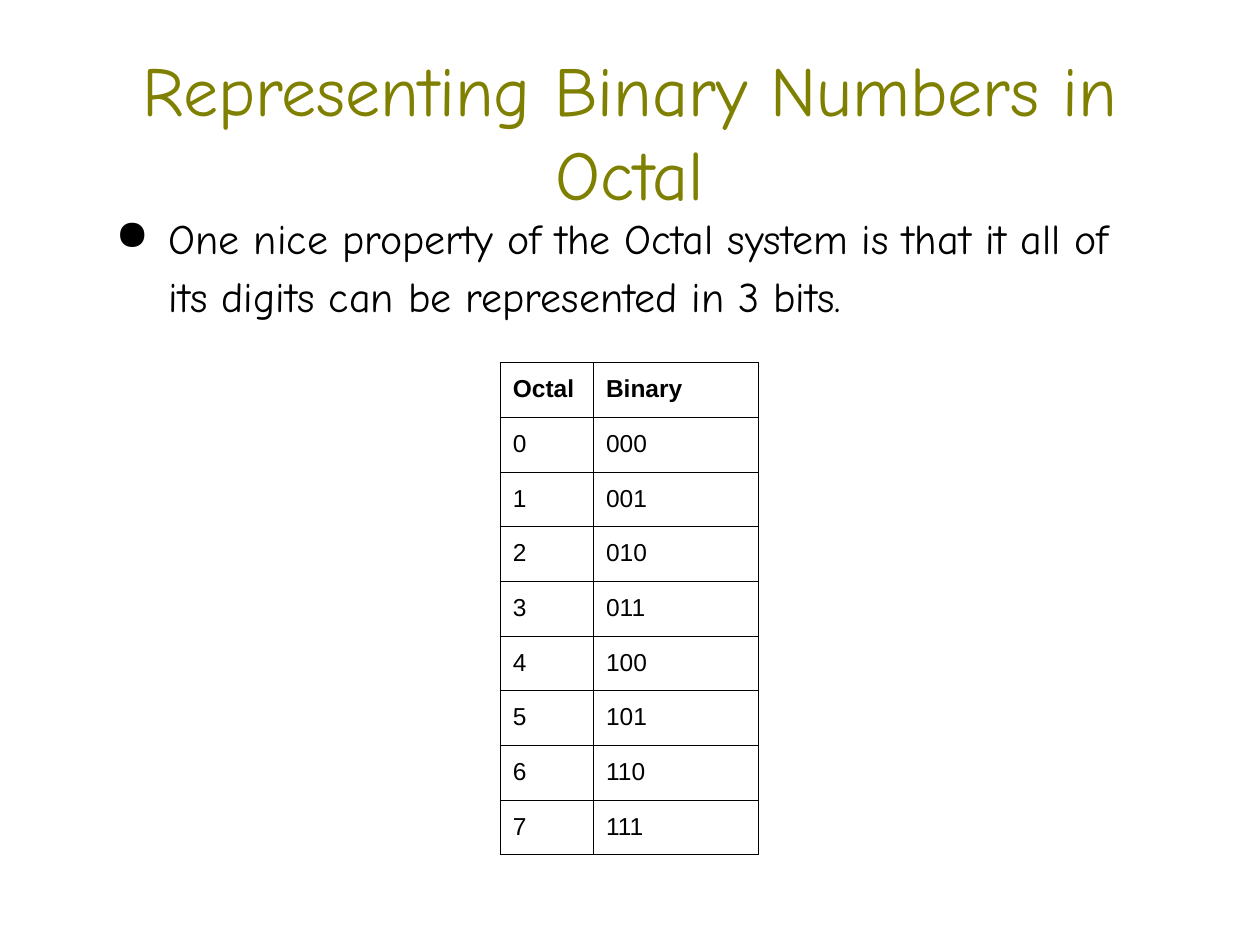
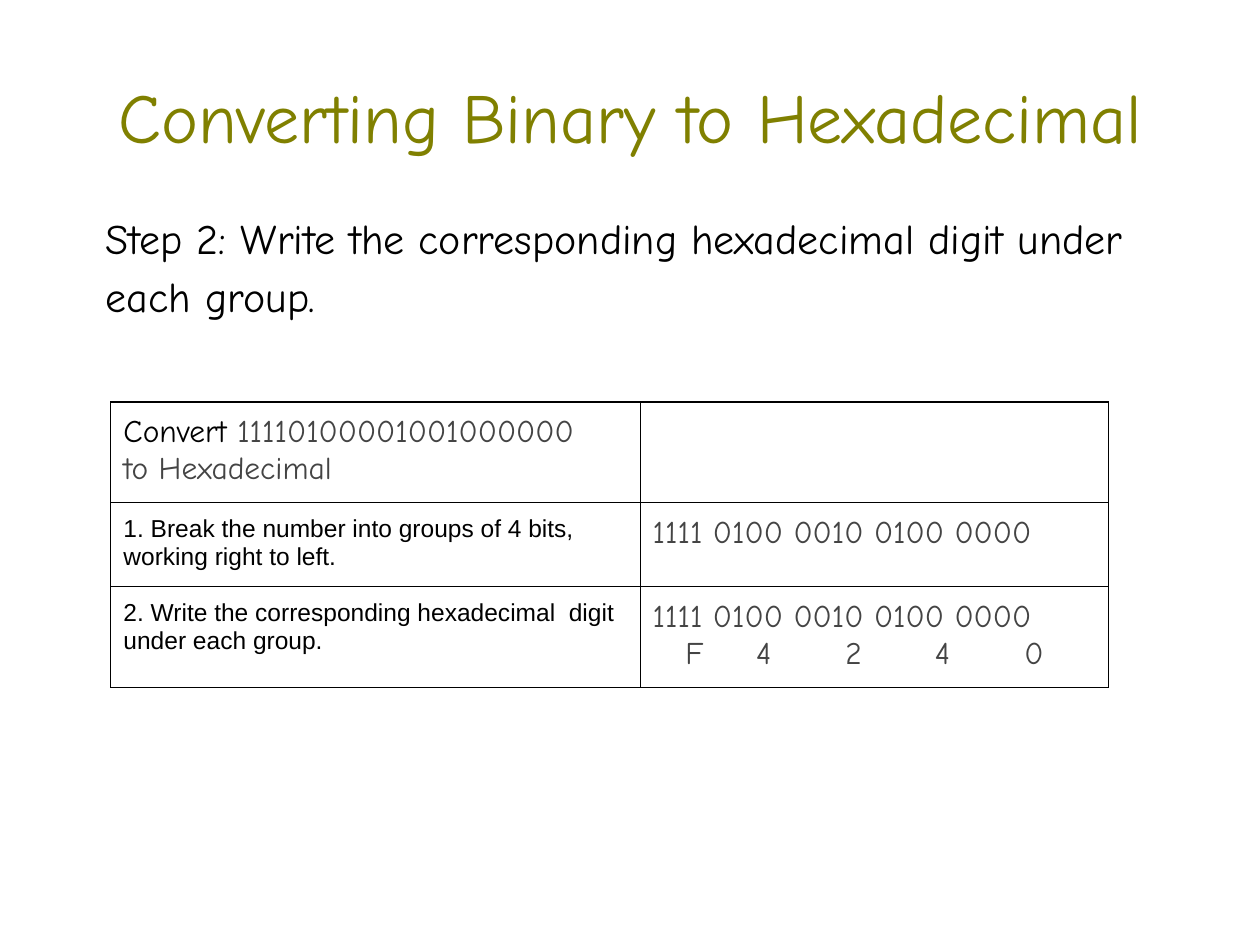
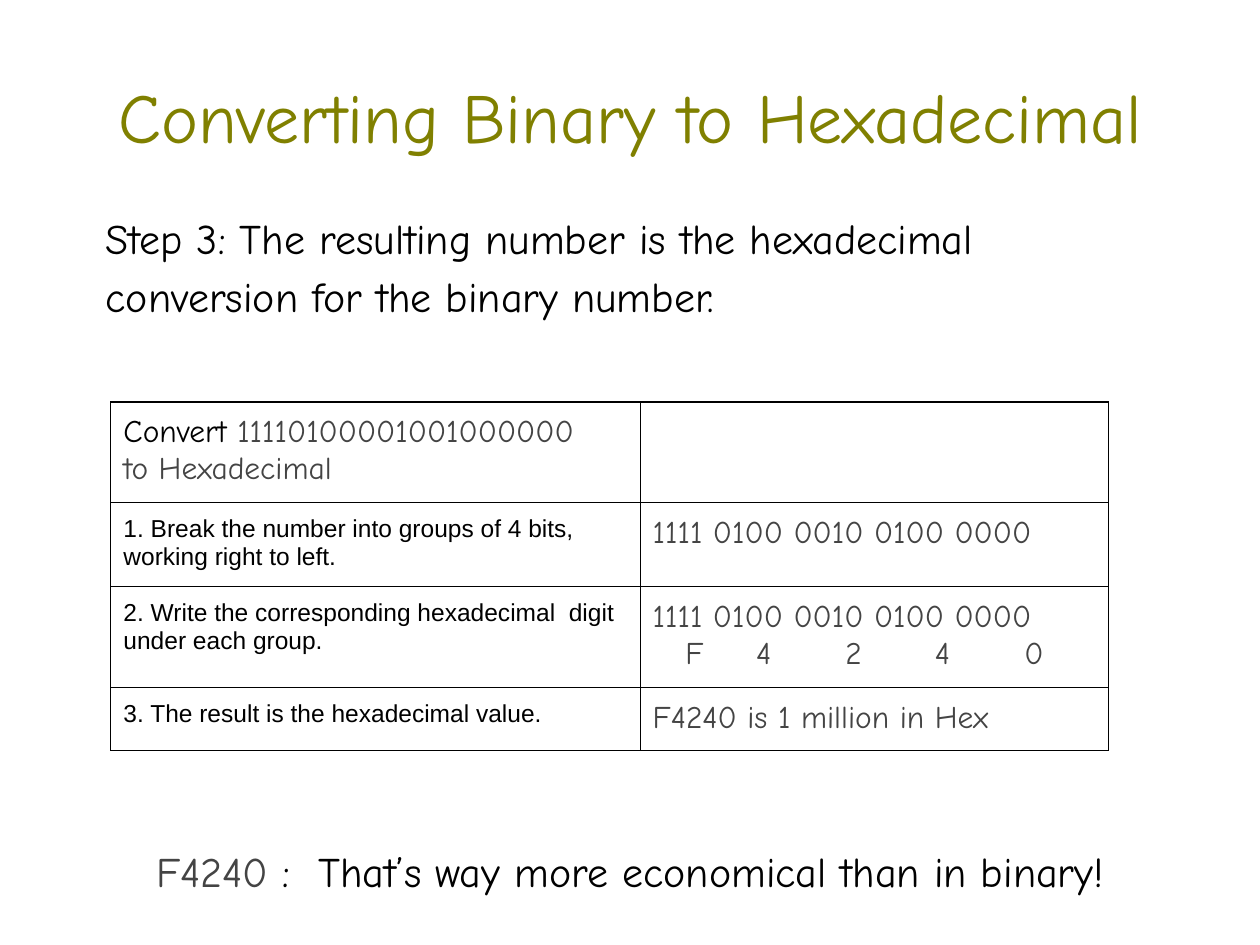
from dataclasses import dataclass

from lxml import etree
from pptx import Presentation
from pptx.dml.color import RGBColor
from pptx.enum.text import MSO_ANCHOR, PP_ALIGN
from pptx.oxml.ns import qn
from pptx.util import Inches, Pt

CENTER = PP_ALIGN.CENTER
MIDDLE = MSO_ANCHOR.MIDDLE


@dataclass(frozen=True)
class Style:
    font: str
    size: int
    color: str
    bold: bool = False


class Theme:
    hand, plain = "Comic Neue", "Arial"
    olive, black, gray = "808000", "000000", "444444"

    title = Style(hand, 40, olive)
    body = Style(hand, 24, black)
    body_value = Style(hand, 24, gray)
    task = Style(hand, 18, black)
    value = Style(hand, 18, gray)
    cell = Style(plain, 14, black)
    header = Style(plain, 14, black, bold=True)

    body_spacing = 1.15
    border = Pt(0.75)
    cell_margin = Inches(0.1)
    row_height = Inches(0.42)


TITLE_BOX = (0.75, 0.42, 8.5, 1)
TALL_TITLE_BOX = (0.75, 0.42, 8.5, 1.23)
BODY_BOX = (0.74, 1.58, 8.48, 1.18)
REMARK_BOX = (0.76, 6.6, 8.48, 0.74)

HEX_TITLE = "Converting Binary to Hexadecimal"
BIT_GROUPS = "1111 0100 0010 0100 0000"
HEX_DIGITS = "F4240"
DIGIT_STOPS = [0.26] + [0.82 + 0.71 * step for step in range(4)]

# Each cell is a list of paragraphs, each paragraph a list of (text, style) spans.
CONVERSION_ROWS = [
    [[[("Convert ", Theme.task), ("11110100001001000000", Theme.value)],
      [("to Hexadecimal", Theme.value)]],
     []],
    [[[("1. Break the number into groups of 4 bits, working right to left.", Theme.cell)]],
     [[(BIT_GROUPS, Theme.value)]]],
    [[[("2. Write the corresponding hexadecimal  digit under each group.", Theme.cell)]],
     [[(BIT_GROUPS, Theme.value)],
      [("".join("\t" + digit for digit in HEX_DIGITS), Theme.value)]]],
    [[[("3. The result is the hexadecimal value.", Theme.cell)]],
     [[(f"{HEX_DIGITS} is 1 million in Hex", Theme.value)]]],
]


def write_spans(para, spans):
    for text, style in spans:
        span = para.add_run()
        span.text = text
        span.font.name = style.font
        span.font.size = Pt(style.size)
        span.font.bold = style.bold
        span.font.color.rgb = RGBColor.from_string(style.color)


def add_text(page, box, spans):
    """Add a wrapping text box and return its frame and its paragraph."""
    frame = page.shapes.add_textbox(*map(Inches, box)).text_frame
    frame.word_wrap = True
    para = frame.paragraphs[0]
    write_spans(para, spans)
    return frame, para


def add_title(page, text, box=TITLE_BOX):
    frame, para = add_text(page, box, [(text, Theme.title)])
    frame.vertical_anchor = MIDDLE
    para.alignment = CENTER


def add_body(page, box, spans):
    para = add_text(page, box, spans)[1]
    para.line_spacing = Theme.body_spacing
    return para


def add_bullet(para):
    para.space_before = Pt(8)
    props = para._p.get_or_add_pPr()
    props.set("marL", str(Inches(0.5)))
    props.set("indent", str(Inches(-0.42)))
    etree.SubElement(props, qn("a:buChar"), char="●")


def add_tab_stops(para, stops):
    tabs = etree.SubElement(para._p.get_or_add_pPr(), qn("a:tabLst"))
    for stop in stops:
        etree.SubElement(tabs, qn("a:tab"), pos=str(Inches(stop)), algn="l")


def add_borders(cell):
    props = cell._tc.get_or_add_tcPr()
    for index, side in enumerate(("lnL", "lnR", "lnT", "lnB")):
        line = etree.Element(qn(f"a:{side}"), w=str(Theme.border))
        fill = etree.SubElement(line, qn("a:solidFill"))
        etree.SubElement(fill, qn("a:srgbClr"), val=Theme.black)
        props.insert(index, line)


def fill_cell(cell, paragraphs):
    cell.margin_left = cell.margin_right = Theme.cell_margin
    cell.margin_top = cell.margin_bottom = Theme.cell_margin
    cell.fill.background()
    add_borders(cell)
    frame = cell.text_frame
    for index, spans in enumerate(paragraphs):
        para = frame.add_paragraph() if index else frame.paragraphs[0]
        write_spans(para, spans)
        if spans[0][0].startswith("\t"):
            add_tab_stops(para, DIGIT_STOPS)


def add_grid(page, left, top, widths, rows):
    """Add a ruled table whose rows grow with their text."""
    table = page.shapes.add_table(
        len(rows), len(widths), Inches(left), Inches(top),
        Inches(sum(widths)), Theme.row_height * len(rows)).table
    table.first_row = table.horz_banding = False
    for column, width in zip(table.columns, widths):
        column.width = Inches(width)
    for table_row, row in zip(table.rows, rows):
        table_row.height = Theme.row_height
        for cell, paragraphs in zip(table_row.cells, row):
            fill_cell(cell, paragraphs)


def build_octal_page(page):
    add_title(page, "Representing Binary Numbers in Octal", TALL_TITLE_BOX)
    add_bullet(add_body(page, BODY_BOX, [(
        "One nice property of the Octal system is that it all of its digits "
        "can be represented in 3 bits.", Theme.body)]))
    rows = [[[[(name, Theme.header)]] for name in ("Octal", "Binary")]]
    rows += [[[[(text, Theme.cell)]] for text in (str(digit), f"{digit:03b}")]
             for digit in range(8)]
    add_grid(page, 3.97, 2.88, (0.74, 1.31), rows)


def build_conversion_page(page, step_text, row_count):
    add_title(page, HEX_TITLE)
    add_body(page, BODY_BOX, [(step_text, Theme.body)])
    add_grid(page, 0.88, 3.19, (4.2, 3.72), CONVERSION_ROWS[:row_count])


def add_remark(page):
    para = add_body(page, REMARK_BOX, [
        (HEX_DIGITS, Theme.body_value),
        (" :  That’s way more economical than in binary!", Theme.body)])
    para.alignment = CENTER


def main():
    deck = Presentation()
    deck.slide_width, deck.slide_height = Inches(10), Inches(7.5)
    blank = deck.slide_layouts[6]
    octal, step_two, step_three = [deck.slides.add_slide(blank) for _ in range(3)]
    build_octal_page(octal)
    build_conversion_page(
        step_two, "Step 2: Write the corresponding hexadecimal digit under each group.", 3)
    build_conversion_page(
        step_three, "Step 3: The resulting number is the hexadecimal conversion "
        "for the binary number.", 4)
    add_remark(step_three)
    deck.save("out.pptx")


if __name__ == "__main__":
    main()
